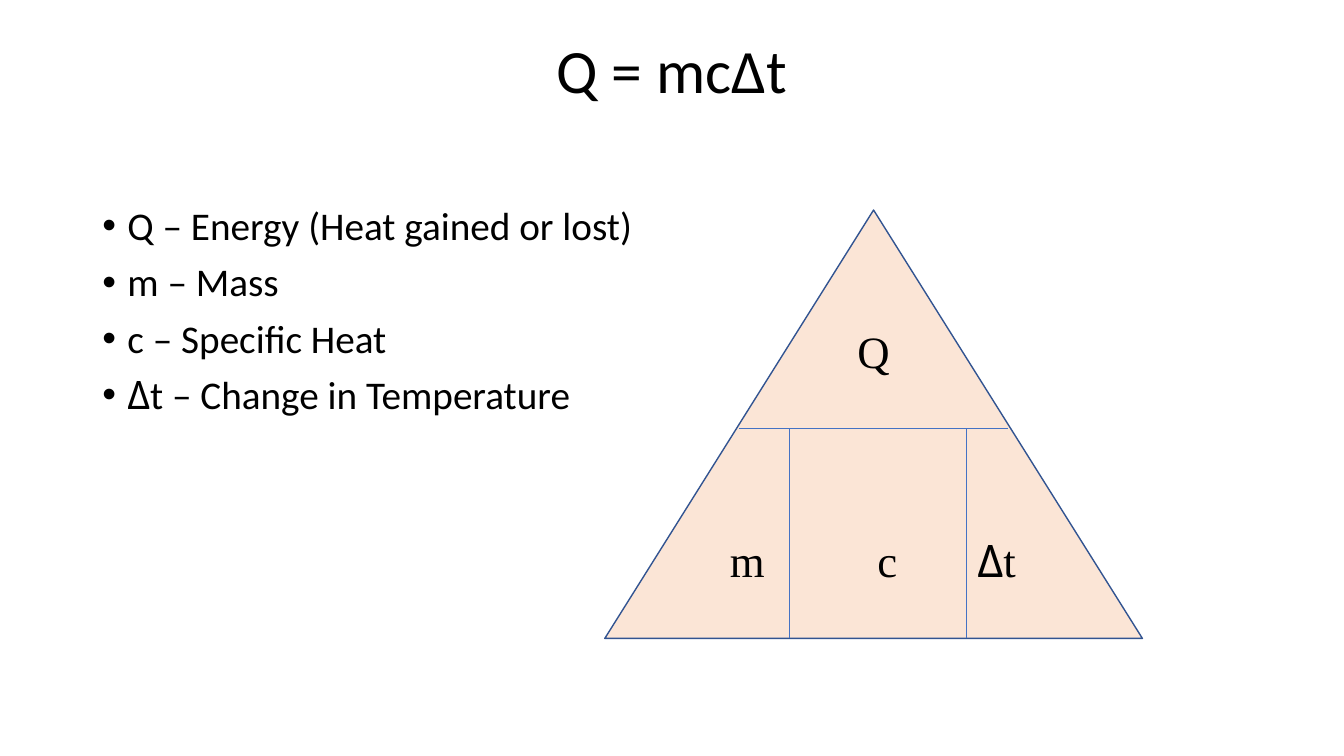
from dataclasses import dataclass

from lxml import etree
from pptx import Presentation
from pptx.dml.color import RGBColor
from pptx.enum import shapes, text
from pptx.oxml import ns
from pptx.util import Pt


@dataclass(frozen=True)
class Theme:
    ink: str = "000000"
    peach: str = "FBE5D6"
    edge: str = "325491"
    rule: str = "4472C4"
    sans: str = "Calibri"
    serif: str = "Times New Roman"
    greek: str = "Cabin"
    head: float = 44
    body: float = 28
    label: float = 32


@dataclass(frozen=True)
class Box:
    left: float
    top: float
    width: float
    height: float

    def sizes(self) -> list:
        return [Pt(n) for n in (self.left, self.top, self.width, self.height)]


@dataclass(frozen=True)
class Rule:
    x1: float
    y1: float
    x2: float
    y2: float


THEME = Theme()
TITLE = Box(174, 18, 612, 68.4)
BODY = Box(66, 144, 828, 342.72)
CONE = Box(432, 150, 384, 306)
LABELS = Box(450, 228, 348, 201)
SPLIT, BASE = 306, CONE.top + CONE.height
RULES = [Rule(528, SPLIT, 720, SPLIT)] + [Rule(x, SPLIT, x, BASE) for x in (564, 690)]
TERMS = ["Q – Energy (Heat gained or lost)", "m – Mass",
         "c – Specific Heat", "Δt – Change in Temperature"]
STOPS = [76.8, 176.8, 254.8]


def assign(item, values: dict) -> None:
    for name, value in values.items():
        setattr(item, name, value)


def write(para, words: str, font: str, size: float) -> None:
    """Add the words, setting each delta in the Greek font."""
    before, delta, after = words.partition("Δ")
    for part, face in ((before, font), (delta, THEME.greek), (after, font)):
        if part:
            run = para.add_run()
            run.text = part
            assign(run.font, {"name": face, "size": Pt(size)})
            run.font.color.rgb = RGBColor.from_string(THEME.ink)


def add_box(slide, box: Box):
    frame = slide.shapes.add_textbox(*box.sizes()).text_frame
    frame.word_wrap = True
    return frame


def add_title(slide) -> None:
    title = slide.shapes.title
    assign(title, dict(zip(("left", "top", "width", "height"), TITLE.sizes())))
    title.text_frame.vertical_anchor = text.MSO_ANCHOR.MIDDLE
    para = title.text_frame.paragraphs[0]
    assign(para, {"alignment": text.PP_ALIGN.CENTER, "line_spacing": 0.9})
    run = para.add_run()
    run.text = "Q = mcΔt"
    assign(run.font, {"name": THEME.sans, "size": Pt(THEME.head)})
    run.font.color.rgb = RGBColor.from_string(THEME.ink)


def add_terms(slide) -> None:
    frame = add_box(slide, BODY)
    for i, term in enumerate(TERMS):
        para = frame.add_paragraph() if i else frame.paragraphs[0]
        assign(para, {"line_spacing": 0.9, "space_before": Pt(10 if i else 0)})
        props = para._p.get_or_add_pPr()
        props.set("marL", str(Pt(18)))
        props.set("indent", str(Pt(-18)))
        etree.SubElement(props, ns.qn("a:buFont"), typeface="Arial")
        etree.SubElement(props, ns.qn("a:buChar"), char="•")
        write(para, term, THEME.sans, THEME.body)


def add_cone(slide) -> None:
    kind = shapes.MSO_SHAPE.ISOSCELES_TRIANGLE
    cone = slide.shapes.add_shape(kind, *CONE.sizes())
    cone.shadow.inherit = False
    cone.fill.solid()
    cone.fill.fore_color.rgb = RGBColor.from_string(THEME.peach)
    cone.line.color.rgb = RGBColor.from_string(THEME.edge)
    cone.line.width = Pt(1)


def add_rule(slide, rule: Rule) -> None:
    ends = [Pt(n) for n in (rule.x1, rule.y1, rule.x2, rule.y2)]
    line = slide.shapes.add_connector(shapes.MSO_CONNECTOR.STRAIGHT, *ends)
    line.line.color.rgb = RGBColor.from_string(THEME.rule)
    line.line.width = Pt(0.5)
    etree.SubElement(line._element.spPr, ns.qn("a:effectLst"))


def add_labels(slide) -> None:
    frame = add_box(slide, LABELS)
    top = frame.paragraphs[0]
    top.alignment = text.PP_ALIGN.CENTER
    write(top, "Q", THEME.serif, THEME.label)
    row = frame.add_paragraph()
    row.space_before = Pt(110.4)
    tabs = etree.SubElement(row._p.get_or_add_pPr(), ns.qn("a:tabLst"))
    for stop in STOPS:
        etree.SubElement(tabs, ns.qn("a:tab"), pos=str(Pt(stop)), algn="ctr")
    write(row, "\tm\tc\tΔt", THEME.serif, THEME.label)


def main() -> None:
    deck = Presentation()
    assign(deck, {"slide_width": Pt(960), "slide_height": Pt(540)})
    slide = deck.slides.add_slide(deck.slide_layouts[5])
    add_title(slide)
    add_terms(slide)
    add_cone(slide)
    for rule in RULES:
        add_rule(slide, rule)
    add_labels(slide)
    deck.save("out.pptx")


if __name__ == "__main__":
    main()
